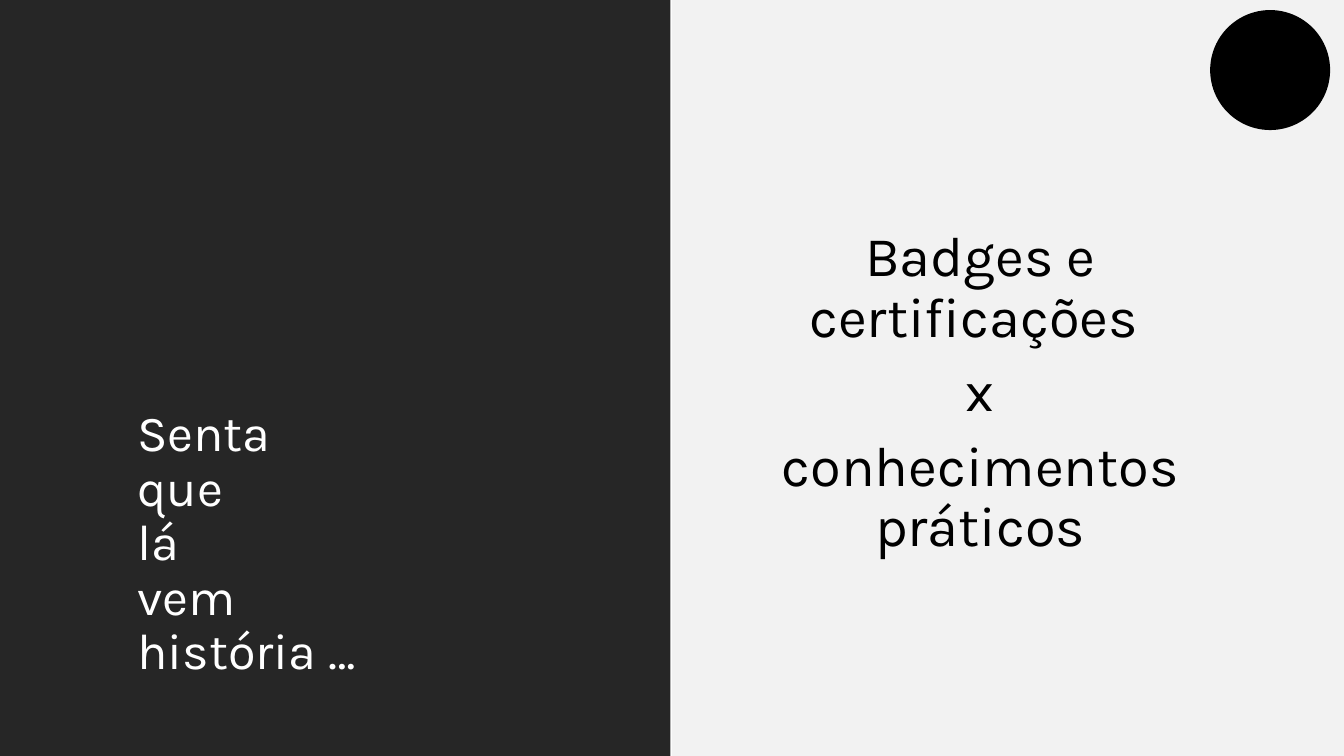
from pptx import Presentation
from pptx.dml.color import RGBColor
from pptx.enum.shapes import MSO_SHAPE
from pptx.enum.text import MSO_ANCHOR, PP_ALIGN
from pptx.util import Pt

RECTANGLE = MSO_SHAPE.RECTANGLE
OVAL = MSO_SHAPE.OVAL
MIDDLE, BOTTOM = MSO_ANCHOR.MIDDLE, MSO_ANCHOR.BOTTOM
LEFT, CENTER = PP_ALIGN.LEFT, PP_ALIGN.CENTER

BLACK = RGBColor(0x00, 0x00, 0x00)
WHITE = RGBColor(0xFF, 0xFF, 0xFF)
CHARCOAL = RGBColor(0x26, 0x26, 0x26)
PALE_GRAY = RGBColor(0xF2, 0xF2, 0xF2)

WIDTH, HEIGHT = 960, 540


class SlideBuilder:
    font = "Karla"
    line_spacing = 0.9

    def __init__(self, slide):
        self.slide = slide

    def shape(self, kind, left, top, width, height, color):
        shape = self.slide.shapes.add_shape(
            kind, Pt(left), Pt(top), Pt(width), Pt(height))
        shape.shadow.inherit = False
        shape.fill.solid()
        shape.fill.fore_color.rgb = color
        shape.line.fill.background()

    def span(self, para, text, size, color):
        span = para.add_run()
        span.text = text
        span.font.name = self.font
        span.font.size = Pt(size)
        span.font.color.rgb = color

    def text_box(self, left, top, width, height, paragraphs, size, color,
                 align, anchor, space_before=0):
        """Each paragraph is a list of lines, parted by line breaks."""
        box = self.slide.shapes.add_textbox(
            Pt(left), Pt(top), Pt(width), Pt(height))
        frame = box.text_frame
        frame.word_wrap = True
        frame.vertical_anchor = anchor
        for index, lines in enumerate(paragraphs):
            para = frame.add_paragraph() if index else frame.paragraphs[0]
            para.alignment = align
            para.line_spacing = self.line_spacing
            para.space_before = Pt(space_before)
            for number, line in enumerate(lines):
                if number:
                    para.add_line_break()
                self.span(para, line, size, color)


def main():
    deck = Presentation()
    deck.slide_width, deck.slide_height = Pt(WIDTH), Pt(HEIGHT)
    page = SlideBuilder(deck.slides.add_slide(deck.slide_layouts[6]))

    page.shape(RECTANGLE, 0, 0, 478.8, HEIGHT, CHARCOAL)
    page.text_box(91, 50.4, 337.7, 439.2,
                  [["Senta", "que", "lá", "vem", "história …"]],
                  36, WHITE, LEFT, BOTTOM)

    page.shape(RECTANGLE, WIDTH / 2, 0, WIDTH / 2, HEIGHT, PALE_GRAY)
    page.text_box(530.6, 50.4, 339.1, 461.5,
                  [["Badges e certificações "], ["x"], ["conhecimentos práticos"]],
                  40, BLACK, CENTER, MIDDLE, space_before=10)

    page.shape(OVAL, 864.4, 7.2, 85.7, 85.7, BLACK)

    deck.save("out.pptx")


if __name__ == "__main__":
    main()
